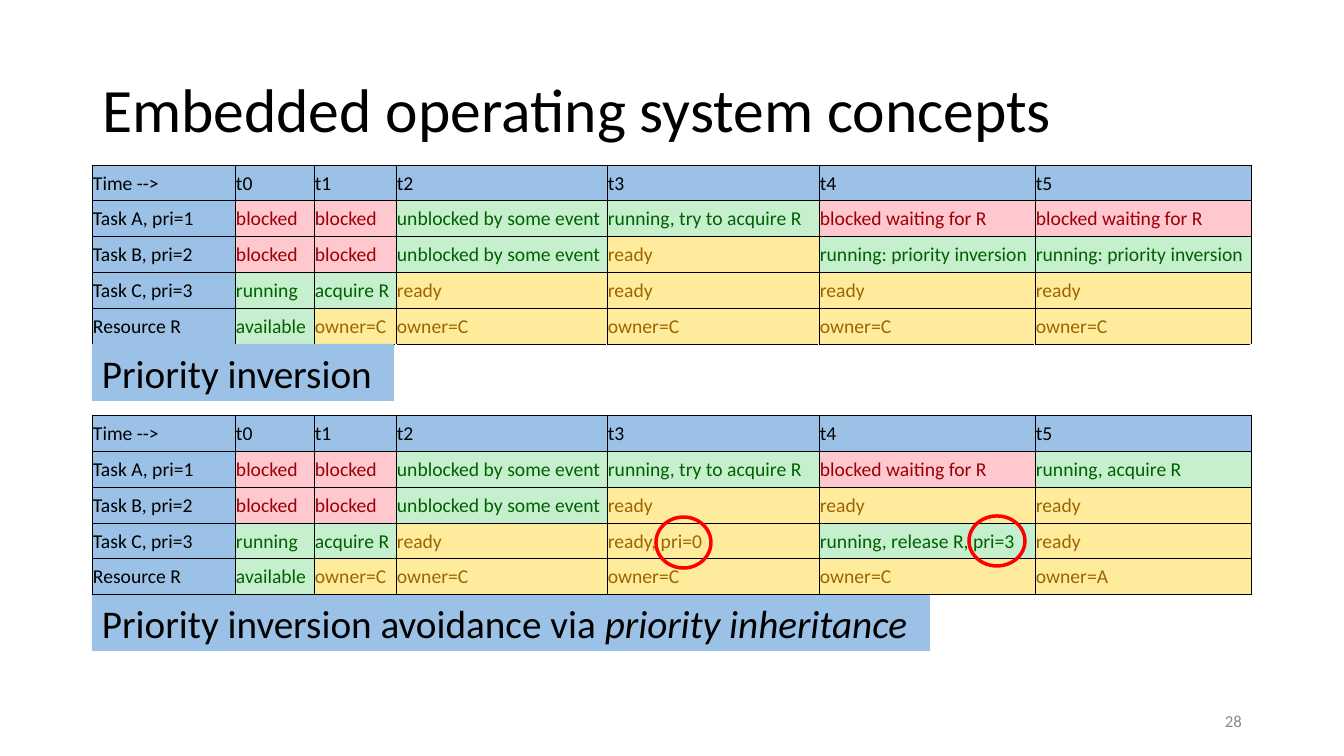
"""Build the slide on priority inversion and priority inheritance."""
from lxml import etree
from pptx import Presentation
from pptx.dml.color import RGBColor
from pptx.enum.shapes import MSO_SHAPE
from pptx.enum.text import MSO_ANCHOR, MSO_AUTO_SIZE, PP_ALIGN
from pptx.oxml.ns import qn
from pptx.util import Pt

RECTANGLE, OVAL = MSO_SHAPE.RECTANGLE, MSO_SHAPE.OVAL
MIDDLE, TOP = MSO_ANCHOR.MIDDLE, MSO_ANCHOR.TOP
LEFT, RIGHT = PP_ALIGN.LEFT, PP_ALIGN.RIGHT
NO_FIT, GROW = MSO_AUTO_SIZE.NONE, MSO_AUTO_SIZE.SHAPE_TO_FIT_TEXT

TITLE = "Embedded operating system concepts"
TITLE_BOX = (92, 40, 1159, 146)
PAGE_NUMBER = "28"
PAGE_BOX = (950, 701, 302, 40)
INVERSION_LABEL = [("Priority inversion", False)]
INVERSION_BOX = (92, 344, 302, 57)
INHERITANCE_LABEL = [("Priority inversion avoidance via ", False), ("priority inheritance", True)]
INHERITANCE_BOX = (92, 594, 838, 57)
CIRCLES = [(656, 517, 55, 51), (969, 516, 56, 50)]

HEADER = ["Time -->", "t0", "t1", "t2", "t3", "t4", "t5"]
UNBLOCKED, ACQUIRING = "unblocked by some event", "running, try to acquire R"
WAITING, INVERTED = "blocked waiting for R", "running: priority inversion"
TASK_A = ["Task A, pri=1", "blocked", "blocked", UNBLOCKED, ACQUIRING, WAITING]
TASK_B = ["Task B, pri=2", "blocked", "blocked", UNBLOCKED, "ready"]
TASK_C = ["Task C, pri=3", "running", "acquire R", "ready"]
RESOURCE = ["Resource R", "available"] + ["owner=C"] * 4
GAP = [""] * len(HEADER)
ROWS = [
    HEADER,
    TASK_A + [WAITING],
    TASK_B + [INVERTED, INVERTED],
    TASK_C + ["ready", "ready", "ready"],
    RESOURCE + ["owner=C"],
    GAP,
    GAP,
    HEADER,
    TASK_A + ["running, acquire R"],
    TASK_B + ["ready", "ready"],
    TASK_C + ["ready, pri=0", "running, release R, pri=3", "ready"],
    RESOURCE + ["owner=A"],
]
COLUMN_WIDTHS = [143, 79, 82, 211, 212, 216, 216]
TABLE_LEFT, TABLE_TOP, TABLE_HEIGHT = 92, 165, 430

BLACK, GREY, RED, BLUE = "000000", "8C8C8C", "FF0000", "9BC2E6"
STATE_COLORS = [
    (("blocked",), "FFC7CE", "9C0006"),
    (("running", "unblocked", "acquire", "available"), "C6EFCE", "006100"),
    (("ready", "owner"), "FFEB9C", "9C6500"),
]


def px(pixels):
    return round(pixels * 914400 / 100.8)


def box(pixels):
    return [px(value) for value in pixels]


def rgb(color):
    return RGBColor.from_string(color)


def write(frame, runs, size, color=BLACK, align=LEFT, anchor=TOP, wrap=True, fit=NO_FIT):
    frame.word_wrap, frame.auto_size, frame.vertical_anchor = wrap, fit, anchor
    paragraph = frame.paragraphs[0]
    paragraph.alignment = align
    for text, italic in runs:
        run = paragraph.add_run()
        run.text = text
        run.font.name, run.font.size, run.font.italic = "Calibri", Pt(size), italic
        run.font.color.rgb = rgb(color)
    return paragraph


def add_label(shapes, runs, place):
    label = shapes.add_shape(RECTANGLE, *box(place))
    label.shadow.inherit = False
    label.fill.solid()
    label.fill.fore_color.rgb = rgb(BLUE)
    label.line.fill.background()
    write(label.text_frame, runs, 28, wrap=False, fit=GROW)


def add_circle(shapes, place):
    circle = shapes.add_shape(OVAL, *box(place))
    circle.shadow.inherit = False
    circle.fill.background()
    circle.line.color.rgb = rgb(RED)
    circle.line.width = Pt(2.5)


def add_borders(cell, sides):
    properties = cell._tc.get_or_add_tcPr()
    for position, side in enumerate(sides):
        line = etree.Element(qn(f"a:ln{side}"), w=str(Pt(0.5)))
        fill = etree.SubElement(line, qn("a:solidFill"))
        etree.SubElement(fill, qn("a:srgbClr"), val=BLACK)
        properties.insert(position, line)


def cell_colors(text, row, column):
    if column == 0 or ROWS[row] is HEADER:
        return BLUE, BLACK
    return next((fill, ink) for words, fill, ink in STATE_COLORS if text.startswith(words))


def format_cell(cell, text, row, column):
    cell.margin_left = cell.margin_right = cell.margin_top = px(1)
    cell.margin_bottom = 0
    cell.vertical_anchor = MIDDLE
    if not text:
        cell.fill.background()
        add_borders(cell, "T" if ROWS[row - 1] is not GAP else "B")
        return
    fill, ink = cell_colors(text, row, column)
    cell.fill.solid()
    cell.fill.fore_color.rgb = rgb(fill)
    add_borders(cell, "LRTB")
    paragraph = cell.text_frame.paragraphs[0]
    run = paragraph.add_run()
    run.text = text
    run.font.name, run.font.size = "Calibri", Pt(14)
    run.font.color.rgb = rgb(ink)


def add_schedule(shapes):
    place = (TABLE_LEFT, TABLE_TOP, sum(COLUMN_WIDTHS), TABLE_HEIGHT)
    table = shapes.add_table(len(ROWS), len(HEADER), *box(place)).table
    table.first_row = table.horz_banding = False
    for column, width in zip(table.columns, COLUMN_WIDTHS):
        column.width = px(width)
    for row, texts in enumerate(ROWS):
        table.rows[row].height = px(TABLE_HEIGHT / len(ROWS))
        for column, text in enumerate(texts):
            format_cell(table.cell(row, column), text, row, column)


presentation = Presentation()
presentation.slide_width, presentation.slide_height = px(1344), px(756)
slide = presentation.slides.add_slide(presentation.slide_layouts[5])
shapes = slide.shapes

title = shapes.title
title.left, title.top, title.width, title.height = box(TITLE_BOX)
write(title.text_frame, [(TITLE, False)], 44, anchor=MIDDLE).line_spacing = 0.9

page = shapes.add_textbox(*box(PAGE_BOX))
write(page.text_frame, [(PAGE_NUMBER, False)], 12, GREY, RIGHT, MIDDLE)

add_label(shapes, INHERITANCE_LABEL, INHERITANCE_BOX)
add_schedule(shapes)
for place in CIRCLES:
    add_circle(shapes, place)
add_label(shapes, INVERSION_LABEL, INVERSION_BOX)

presentation.save("out.pptx")
